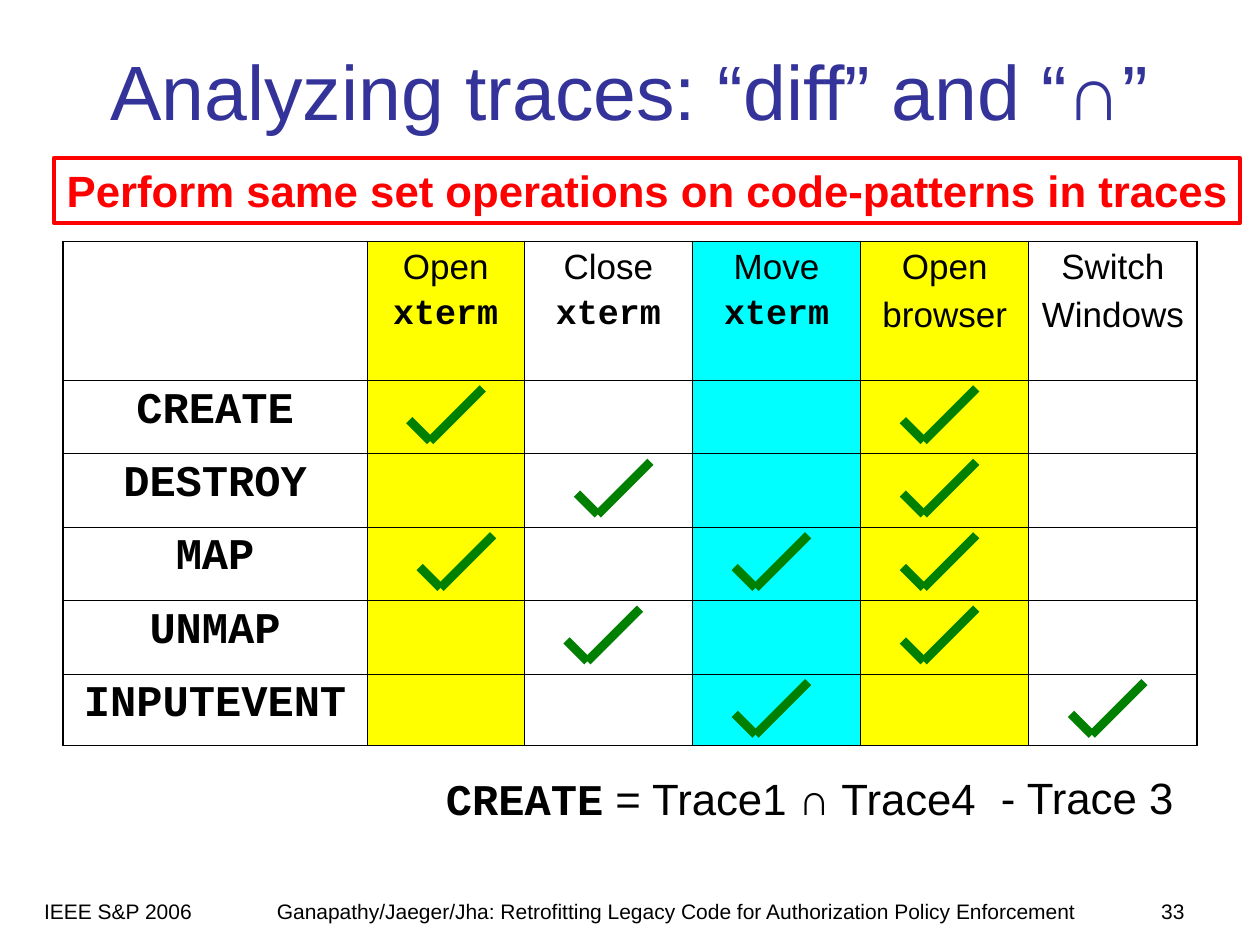
from dataclasses import dataclass
from itertools import accumulate

from lxml.etree import SubElement
from pptx import Presentation
from pptx.dml.color import RGBColor
from pptx.enum.shapes import MSO_CONNECTOR, MSO_SHAPE
from pptx.enum.text import MSO_ANCHOR, PP_ALIGN
from pptx.oxml.ns import qn
from pptx.util import Cm, Pt

COLOURS = {
    "black": "000000",
    "title": "333399",
    "banner": "FF0000",
    "check": "008000",
    "yellow": "FFFF00",
    "cyan": "00FFFF",
}
SANS, MONO = "Arial", "Courier New"

# Table grid, in centimetres
LEFT, TOP = 1.27, 4.87
WIDTHS = [6.13, 3.17] + [3.39] * 4
HEIGHTS = [2.8] + [1.48] * 4 + [1.44]
COLUMN_EDGES = list(accumulate(WIDTHS, initial=LEFT))
ROW_EDGES = list(accumulate(HEIGHTS, initial=TOP))


@dataclass(frozen=True)
class Span:
    text: str
    size: float
    font: str = SANS
    bold: bool = False
    colour: str = "black"


@dataclass(frozen=True)
class Label:
    left: float
    top: float
    width: float
    height: float
    spans: tuple[Span, ...]
    align: PP_ALIGN = PP_ALIGN.CENTER
    anchor: MSO_ANCHOR = MSO_ANCHOR.TOP
    wrap: bool = True


@dataclass(frozen=True)
class Check:
    row: int
    column: int
    nudge: float = 0


TITLE = Label(1.27, 0.43, 22.86, 2.74,
              (Span("Analyzing traces: “diff” and “∩”", 44, colour="title"),),
              anchor=MSO_ANCHOR.MIDDLE)
BANNER = Label(1.09, 3.18, 23.9, 1.32,
               (Span("Perform same set operations on code-patterns in traces", 25,
                     bold=True, colour="banner"),), wrap=False)
FORMULA = [
    Label(8.69, 15.44, 11.28, 1.32,
          (Span("CREATE", 25, MONO, True), Span(" = Trace1 ∩ Trace4", 25)), wrap=False),
    Label(19.91, 15.42, 4.01, 1.32, (Span("- Trace 3", 25),), wrap=False),
]
FOOTER = [
    Label(4.65, 17.98, 17.98, 0.69,
          (Span("Ganapathy/Jaeger/Jha: Retrofitting Legacy Code for "
                "Authorization Policy Enforcement", 12),)),
    Label(22.66, 17.98, 1.47, 0.64, (Span("33", 12),), PP_ALIGN.RIGHT),
    Label(0.64, 17.98, 4.01, 0.69, (Span("IEEE S&P 2006", 12),), PP_ALIGN.LEFT),
]
HEADERS = [("Open", "xterm"), ("Close", "xterm"), ("Move", "xterm"),
           ("Open", "browser"), ("Switch", "Windows")]
OPERATIONS = ["CREATE", "DESTROY", "MAP", "UNMAP", "INPUTEVENT"]
HIGHLIGHTS = {3: "cyan", 1: "yellow", 4: "yellow"}
CHECKS = [
    Check(1, 1), Check(3, 1, 0.21), Check(2, 2, 0.21), Check(4, 2),
    Check(1, 4), Check(2, 4), Check(3, 4), Check(4, 4),
    Check(5, 3), Check(3, 3), Check(5, 5),
]


def colour(name: str) -> RGBColor:
    return RGBColor.from_string(COLOURS[name])


def add_span(paragraph, span: Span) -> None:
    run = paragraph.add_run()
    run.text = span.text
    run.font.size = Pt(span.size)
    run.font.name = span.font
    run.font.bold = span.bold
    run.font.color.rgb = colour(span.colour)


def fill_label(box, label: Label) -> None:
    frame = box.text_frame
    frame.word_wrap = label.wrap
    frame.vertical_anchor = label.anchor
    paragraph = frame.paragraphs[0]
    paragraph.alignment = label.align
    for span in label.spans:
        add_span(paragraph, span)


def add_label(page, label: Label) -> None:
    box = page.shapes.add_textbox(Cm(label.left), Cm(label.top),
                                  Cm(label.width), Cm(label.height))
    fill_label(box, label)


def add_rectangle(page, left: float, top: float, width: float, height: float):
    box = page.shapes.add_shape(MSO_SHAPE.RECTANGLE, Cm(left), Cm(top),
                                Cm(width), Cm(height))
    box.shadow.inherit = False
    return box


def add_highlight(page, column: int, name: str) -> None:
    """Colour a whole table column with a rectangle that lies behind it."""
    box = add_rectangle(page, COLUMN_EDGES[column], TOP, WIDTHS[column], sum(HEIGHTS))
    box.fill.solid()
    box.fill.fore_color.rgb = colour(name)
    box.line.fill.background()


def add_banner(page, label: Label) -> None:
    box = add_rectangle(page, label.left, label.top, label.width, label.height)
    box.fill.background()
    box.line.color.rgb = colour("banner")
    box.line.width = Pt(2.25)
    fill_label(box, label)


def set_borders(cell, row: int, column: int) -> None:
    """Draw thin inner borders and a thicker table outline."""
    outer = {"lnL": column == 0, "lnR": column == len(WIDTHS) - 1,
             "lnT": row == 0, "lnB": row == len(HEIGHTS) - 1}
    properties = cell._tc.get_or_add_tcPr()
    for side, is_outer in outer.items():
        width = Pt(1.08 if is_outer else 0.45)
        border = SubElement(properties, qn(f"a:{side}"), w=str(int(width)))
        SubElement(SubElement(border, qn("a:solidFill")), qn("a:srgbClr"),
                   val=COLOURS["black"])


def fill_cell(cell, spans: list[Span], space_before: float) -> None:
    frame = cell.text_frame
    for index, span in enumerate(spans):
        paragraph = frame.add_paragraph() if index else frame.paragraphs[0]
        paragraph.alignment = PP_ALIGN.CENTER
        paragraph.space_before = Pt(space_before)
        add_span(paragraph, span)


def add_trace_table(page) -> None:
    table = page.shapes.add_table(len(HEIGHTS), len(WIDTHS), Cm(LEFT), Cm(TOP),
                                  Cm(sum(WIDTHS)), Cm(sum(HEIGHTS))).table
    table.first_row = table.horz_banding = False
    for column, width in zip(table.columns, WIDTHS):
        column.width = Cm(width)
    for row, height in zip(table.rows, HEIGHTS):
        row.height = Cm(height)
    for row in range(len(HEIGHTS)):
        for column in range(len(WIDTHS)):
            cell = table.cell(row, column)
            set_borders(cell, row, column)
            cell.fill.background()
    for column, words in enumerate(HEADERS, 1):
        spans = [Span(word, 20, MONO, True) if word == "xterm" else Span(word, 20)
                 for word in words]
        fill_cell(table.cell(0, column), spans, 5)
    for row, operation in enumerate(OPERATIONS, 1):
        fill_cell(table.cell(row, 0), [Span(operation, 25, MONO, True)], 6.2)


def add_check(page, check: Check) -> None:
    """Draw a tick as a short and a long arm that meet at its lowest point."""
    x = COLUMN_EDGES[check.column] + 1.27 + check.nudge
    y = ROW_EDGES[check.row] + 1.22
    arms = [(x - 0.42, y - 0.42, x, y), (x, y, x + 1.06, y - 1.06)]
    for arm in arms:
        line = page.shapes.add_connector(MSO_CONNECTOR.STRAIGHT, *map(Cm, arm))
        line.line.color.rgb = colour("check")
        line.line.width = Pt(5)
        SubElement(line._element.spPr, qn("a:effectLst"))


def main() -> None:
    deck = Presentation()
    deck.slide_width, deck.slide_height = Cm(25.4), Cm(19.05)
    page = deck.slides.add_slide(deck.slide_layouts[6])
    for column, name in HIGHLIGHTS.items():
        add_highlight(page, column, name)
    add_label(page, TITLE)
    add_trace_table(page)
    for check in CHECKS:
        add_check(page, check)
    add_banner(page, BANNER)
    for label in FORMULA + FOOTER:
        add_label(page, label)
    deck.save("out.pptx")


if __name__ == "__main__":
    main()
